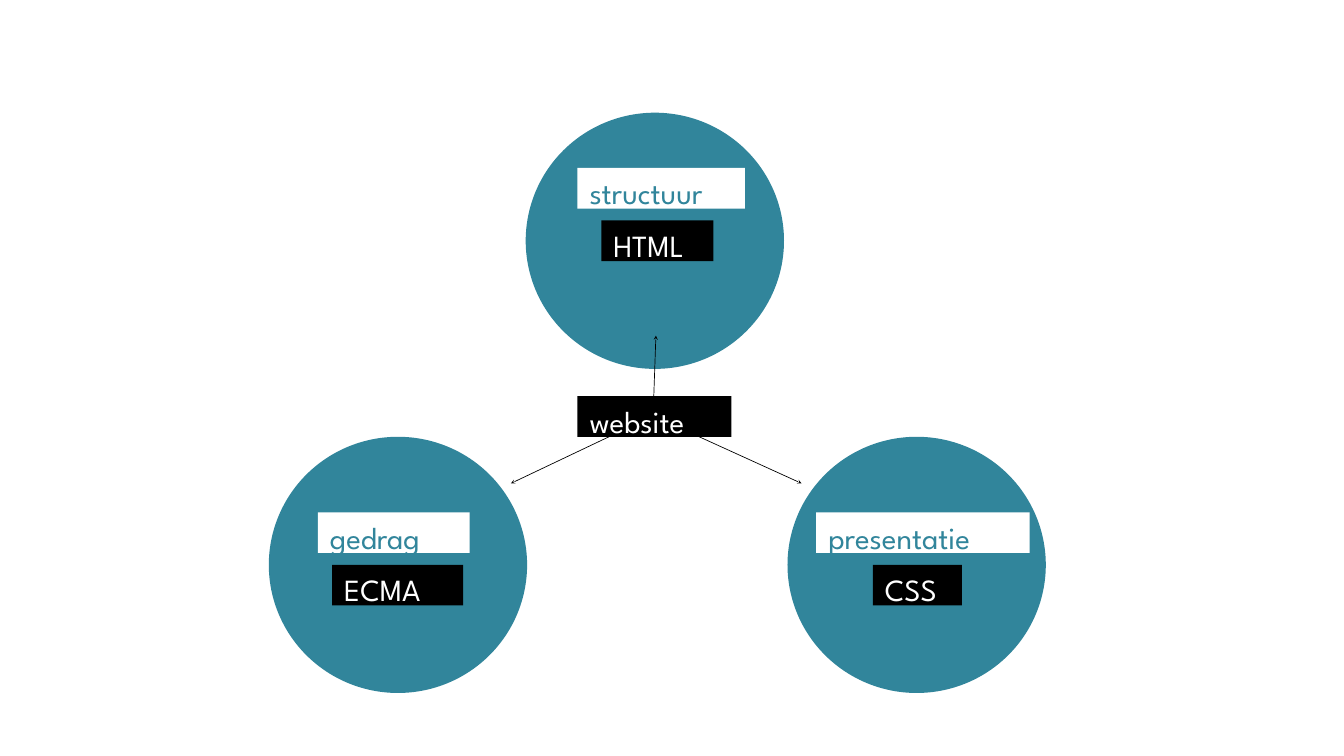
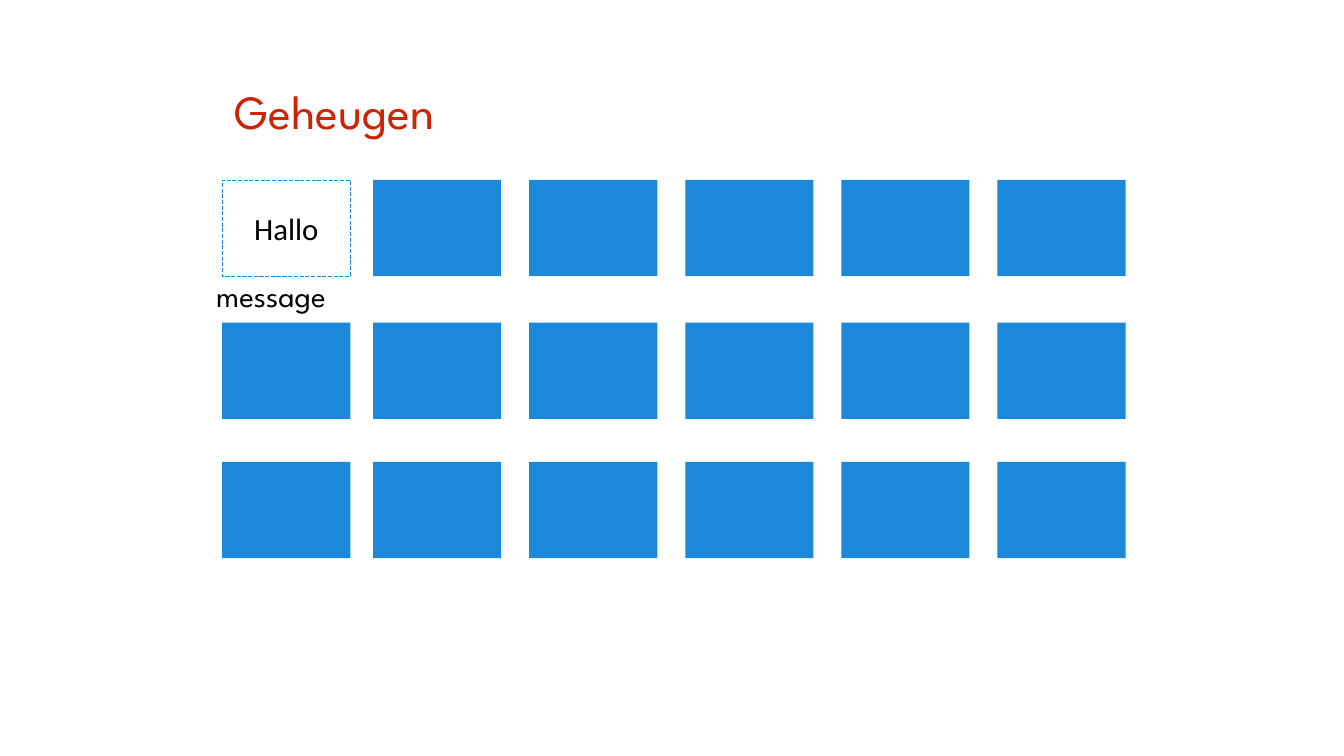
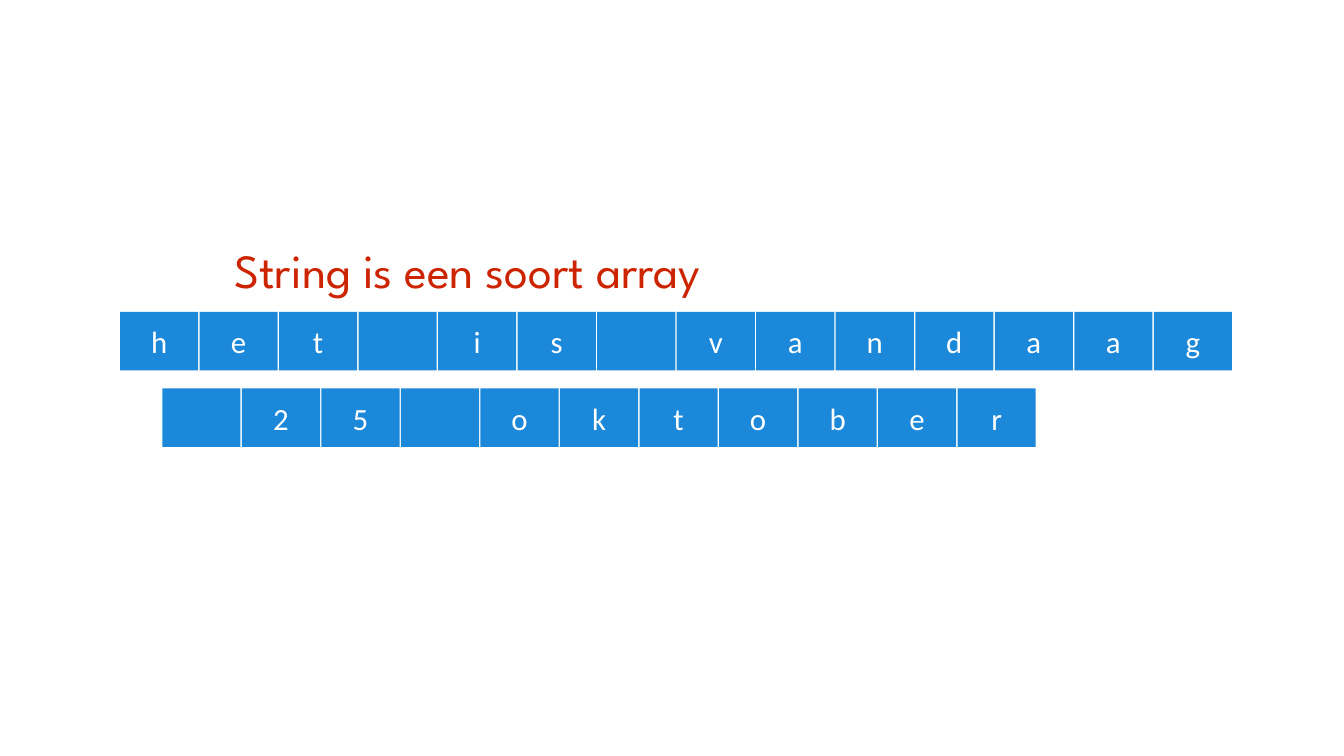
from dataclasses import dataclass
from typing import Any, NamedTuple

from pptx import Presentation
from pptx import util as u
from pptx.dml.color import RGBColor
from pptx.enum import dml, shapes, text
from pptx.oxml import ns, xmlchemy

Pt = u.Pt


@dataclass(frozen=True)
class Theme:
    teal: RGBColor = RGBColor(0x31, 0x85, 0x9B)
    blue: RGBColor = RGBColor(0x1C, 0x88, 0xDA)
    red: RGBColor = RGBColor(0xCD, 0x24, 0x00)
    black: RGBColor = RGBColor(0, 0, 0)
    white: RGBColor = RGBColor(0xFF, 0xFF, 0xFF)
    heading_font: str = "League Spartan"
    cell_font: str = "Calibri"
    title_size: float = 68
    text_size: float = 44


THEME = Theme()
LABEL_HEIGHT = 58
FRAME = {
    "margin_left": Pt(17.28), "margin_right": Pt(17.28),
    "margin_top": Pt(8.64), "margin_bottom": Pt(8.64),
    "word_wrap": True, "auto_size": text.MSO_AUTO_SIZE.NONE,
}


class Box(NamedTuple):
    left: float
    top: float
    width: float
    height: float

    def lengths(self) -> list[u.Length]:
        return [Pt(value) for value in self]


class Style(NamedTuple):
    color: RGBColor
    font: str = THEME.heading_font
    size: float = THEME.text_size
    align: text.PP_ALIGN = text.PP_ALIGN.LEFT
    anchor: text.MSO_ANCHOR = text.MSO_ANCHOR.TOP


class Pillar(NamedTuple):
    """One circle of the website diagram with its two labels."""
    circle: Box
    role: str
    role_box: Box
    language: str
    language_box: Box
    arrow_tip: tuple[float, float]


TITLE = Style(THEME.red, size=THEME.title_size)
ROLE = Style(THEME.teal)
LANGUAGE = Style(THEME.white)
LETTER = Style(THEME.white, THEME.cell_font, align=text.PP_ALIGN.CENTER,
               anchor=text.MSO_ANCHOR.MIDDLE)
STORED_VALUE = LETTER._replace(color=THEME.black)

PILLARS = [
    Pillar(Box(751, 161, 369, 366), "structuur", Box(825, 240, 239, LABEL_HEIGHT),
           "HTML", Box(859, 315, 160, LABEL_HEIGHT), (937, 479.5)),
    Pillar(Box(1125, 624, 369, 366), "presentatie", Box(1166, 732, 305, LABEL_HEIGHT),
           "CSS", Box(1247, 807, 127, LABEL_HEIGHT), (1145, 690.5)),
    Pillar(Box(384, 624, 369, 366), "gedrag", Box(454, 732, 217, LABEL_HEIGHT),
           "ECMA", Box(474.5, 807, 187, LABEL_HEIGHT), (730, 690.5)),
]


def apply(target: Any, values: dict[str, Any]) -> None:
    for name, value in values.items():
        setattr(target, name, value)


def write(shape: Any, words: str, style: Style) -> None:
    frame = shape.text_frame
    apply(frame, {**FRAME, "vertical_anchor": style.anchor})
    paragraph = frame.paragraphs[0]
    paragraph.alignment = style.align
    run = paragraph.add_run()
    run.text = words
    apply(run.font, {"name": style.font, "size": Pt(style.size)})
    run.font.color.rgb = style.color


def add_block(slide: Any, box: Box, fill: RGBColor, words: str = "",
              style: Style = LETTER,
              kind: shapes.MSO_SHAPE = shapes.MSO_SHAPE.RECTANGLE) -> Any:
    block = slide.shapes.add_shape(kind, *box.lengths())
    block.shadow.inherit = False
    block.fill.solid()
    block.fill.fore_color.rgb = fill
    block.line.fill.background()
    if words:
        write(block, words, style)
    return block


def add_arrow(slide: Any, start: tuple[float, float], tip: tuple[float, float]) -> None:
    arrow = slide.shapes.add_connector(
        shapes.MSO_CONNECTOR.STRAIGHT, *(Pt(value) for value in start + tip))
    arrow.line.width = Pt(1)
    arrow.line.color.rgb = THEME.black
    properties = arrow._element.spPr
    head = xmlchemy.OxmlElement("a:tailEnd")
    head.set("type", "stealth")
    properties.find(ns.qn("a:ln")).append(head)
    properties.append(xmlchemy.OxmlElement("a:effectLst"))


def add_titled_slide(deck: Any, words: str, box: Box) -> Any:
    slide = deck.slides.add_slide(deck.slide_layouts.get_by_name("Title Only"))
    title = slide.shapes.title
    apply(title, dict(zip(("left", "top", "width", "height"), box.lengths())))
    write(title, words, TITLE)
    return slide


def add_website_slide(deck: Any) -> None:
    slide = deck.slides.add_slide(deck.slide_layouts.get_by_name("Blank"))
    for pillar in PILLARS:
        add_block(slide, pillar.circle, THEME.teal, kind=shapes.MSO_SHAPE.OVAL)
    for pillar in PILLARS:
        add_arrow(slide, (933, 594), pillar.arrow_tip)
        add_block(slide, pillar.role_box, THEME.white, pillar.role, ROLE)
        add_block(slide, pillar.language_box, THEME.black, pillar.language, LANGUAGE)
    add_block(slide, Box(825, 566, 220, LABEL_HEIGHT), THEME.black, "website", LANGUAGE)


def add_memory_slide(deck: Any) -> None:
    slide = add_titled_slide(deck, "Geheugen", Box(317.5, 108, 440, 82))
    columns = [317.5] + [533 + 223 * step for step in range(5)]
    cells = [Box(left, top, 183, 137.5) for top in (257, 461, 660) for left in columns]
    used = add_block(slide, cells[0], THEME.white, "Hallo", STORED_VALUE)
    used.line.color.rgb = THEME.blue
    apply(used.line, {"width": Pt(0.75), "dash_style": dml.MSO_LINE.LONG_DASH})
    for cell in cells[1:]:
        add_block(slide, cell, THEME.blue)
    variable = slide.shapes.add_textbox(*Box(291.5, 386.5, 250.5, LABEL_HEIGHT).lengths())
    write(variable, "message", Style(THEME.black))


def add_string_slide(deck: Any) -> None:
    slide = add_titled_slide(deck, "String is een soort array", Box(317.5, 335.5, 873, 82))
    for letters, left, top in (("het is vandaag", 171.5, 445.5), (" 25 oktober", 232, 555)):
        for index, letter in enumerate(letters):
            tile = Box(left + 113.6 * index, top, 111.6, 83.5)
            add_block(slide, tile, THEME.blue, letter.strip())


def main() -> None:
    deck = Presentation()
    apply(deck, {"slide_width": Pt(1920), "slide_height": Pt(1080)})
    add_website_slide(deck)
    add_memory_slide(deck)
    add_string_slide(deck)
    deck.save("out.pptx")


if __name__ == "__main__":
    main()
